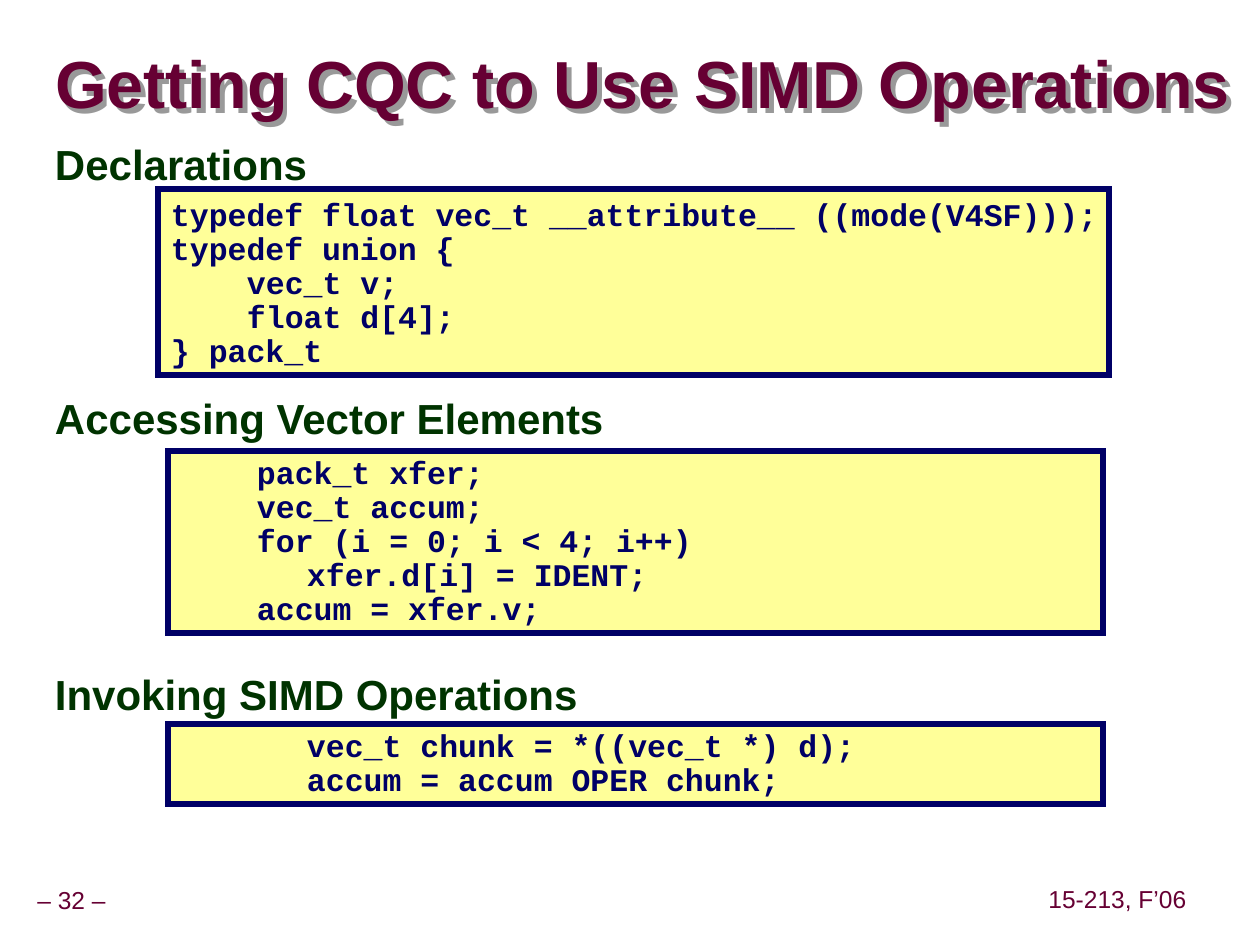
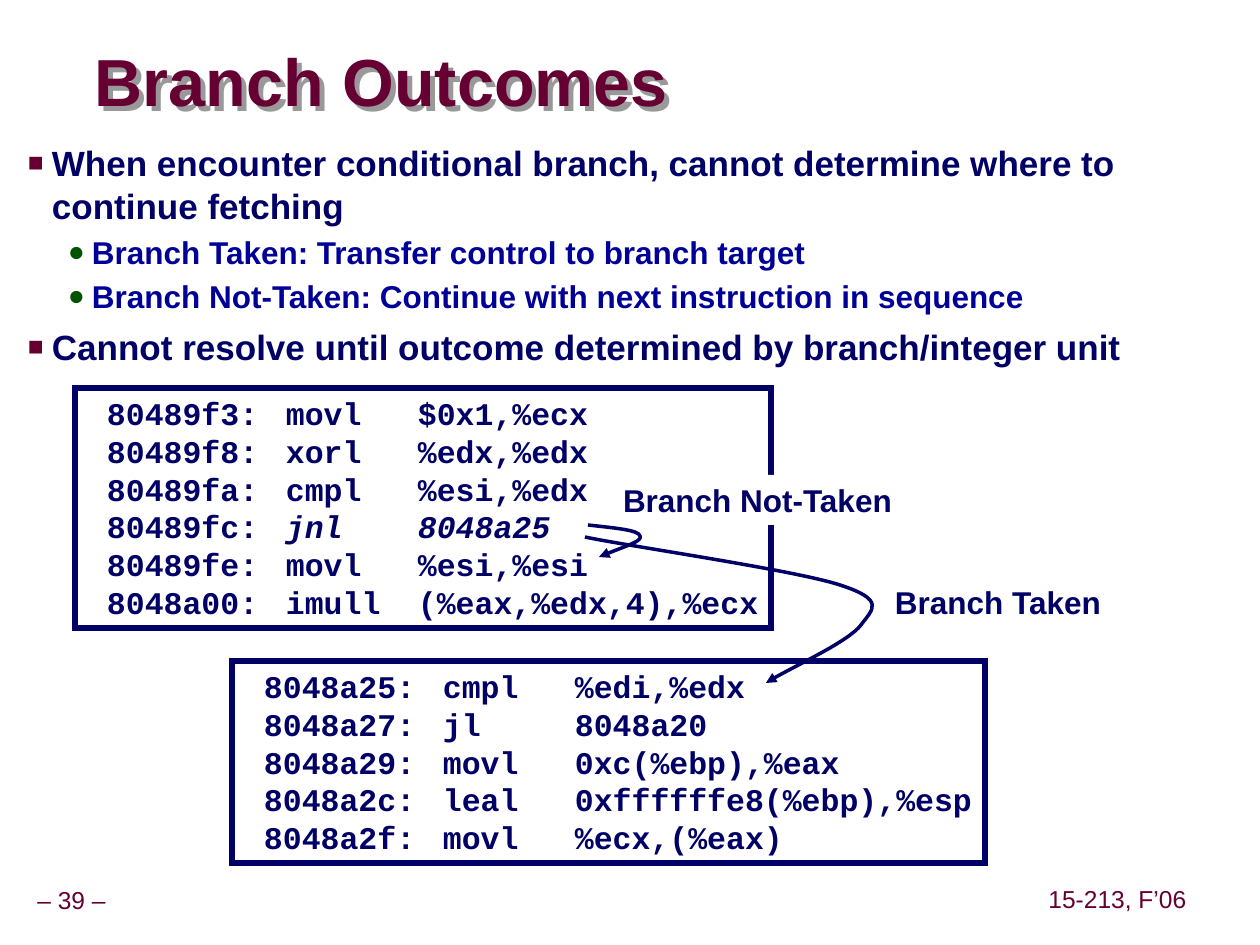
from collections import namedtuple
from dataclasses import dataclass

from lxml import etree
from pptx import Presentation
from pptx.dml.color import RGBColor
from pptx.enum.shapes import MSO_SHAPE
from pptx.enum.text import MSO_ANCHOR, PP_ALIGN
from pptx.oxml.ns import qn
from pptx.util import Pt

PX = 914400 / 126
RECTANGLE = MSO_SHAPE.RECTANGLE
TOP, MIDDLE = MSO_ANCHOR.TOP, MSO_ANCHOR.MIDDLE
LEFT, CENTER = PP_ALIGN.LEFT, PP_ALIGN.CENTER

Box = namedtuple("Box", "x y w h")
Insets = namedtuple("Insets", "left top")
Bullet = namedtuple("Bullet", "char color percent margin hang")
Style = namedtuple(
    "Style", "size color font bold spacing before bullet tabs",
    defaults=("Arial", True, 1.0, 0, None, ()))


@dataclass(frozen=True)
class Theme:
    maroon: str = "660033"
    navy: str = "000066"
    blue: str = "000099"
    pine: str = "003300"
    green: str = "005400"
    cream: str = "FFFF99"
    white: str = "FFFFFF"
    shade: str = "999999"
    mono: str = "Courier New"
    title_size: int = 38
    heading_size: int = 24
    point_size: int = 20
    text_size: int = 18
    footer_size: int = 14
    frame_width: int = 3
    arrow_width: int = 2


THEME = Theme()
TITLE = Style(THEME.title_size, THEME.maroon, spacing=0.87)
FOOTER = Style(THEME.footer_size, THEME.maroon, bold=False, spacing=0.9)
HEADING = Style(THEME.heading_size, THEME.pine, spacing=0.95)
LABEL = Style(THEME.text_size, THEME.navy)
POINT = Style(THEME.point_size, THEME.navy, before=6.2,
              bullet=Bullet("■", THEME.maroon, 75, 39, 24))
SUBPOINT = Style(THEME.text_size, THEME.blue, spacing=1.07, before=2.2,
                 bullet=Bullet("●", THEME.green, 90, 79, 24))
SOURCE = Style(THEME.text_size, THEME.navy, THEME.mono, spacing=0.9, tabs=(76, 126))
ASSEMBLY = Style(THEME.text_size, THEME.navy, THEME.mono, tabs=(179, 311))
PADDING = Insets(13, 6)

DECLARATIONS = [
    "typedef float vec_t __attribute__ ((mode(V4SF)));",
    "typedef union {",
    "\tvec_t v;",
    "\tfloat d[4];",
    "} pack_t",
]
ACCESSING = [
    "\tpack_t xfer;",
    "\tvec_t accum;",
    "\tfor (i = 0; i < 4; i++)",
    "\t\txfer.d[i] = IDENT;",
    "\taccum = xfer.v;",
]
INVOKING = ["\t\tvec_t chunk = *((vec_t *) d);", "\t\taccum = accum OPER chunk;"]
FALL_THROUGH = [
    ("80489f3:", "movl", "$0x1,%ecx"),
    ("80489f8:", "xorl", "%edx,%edx"),
    ("80489fa:", "cmpl", "%esi,%edx"),
    ("80489fc:", "jnl", "8048a25"),
    ("80489fe:", "movl", "%esi,%esi"),
    ("8048a00:", "imull", "(%eax,%edx,4),%ecx"),
]
TARGET = [
    ("8048a25:", "cmpl", "%edi,%edx"),
    ("8048a27:", "jl", "8048a20"),
    ("8048a29:", "movl", "0xc(%ebp),%eax"),
    ("8048a2c:", "leal", "0xffffffe8(%ebp),%esp"),
    ("8048a2f:", "movl", "%ecx,(%eax)"),
]


def emu(length):
    return round(length * PX)


def rgb(color):
    return RGBColor.from_string(color)


def add_node(parent, tag, **attributes):
    values = {name: str(value) for name, value in attributes.items()}
    return etree.SubElement(parent, qn(tag), values)


def add_bullet(para, bullet):
    properties = para._p.get_or_add_pPr()
    properties.set("marL", str(emu(bullet.margin)))
    properties.set("indent", str(-emu(bullet.hang)))
    add_node(add_node(properties, "a:buClr"), "a:srgbClr", val=bullet.color)
    add_node(properties, "a:buSzPct", val=bullet.percent * 1000)
    add_node(properties, "a:buFont", typeface="Arial")
    add_node(properties, "a:buChar", char=bullet.char)


def add_tabs(para, stops):
    tabs = add_node(para._p.get_or_add_pPr(), "a:tabLst")
    for stop in stops:
        add_node(tabs, "a:tab", pos=emu(stop), algn="l")


def add_span(para, text, style, italic=False):
    span = para.add_run()
    span.text = text
    font = span.font
    font.name, font.size, font.bold = style.font, Pt(style.size), style.bold
    font.italic = italic
    font.color.rgb = rgb(style.color)


def add_para(frame, style, *texts, align=LEFT, before=None, italic_from=None):
    para = frame.paragraphs[0]
    if para.runs:
        para = frame.add_paragraph()
    para.alignment = align
    para.line_spacing = style.spacing
    para.space_before = Pt(style.before if before is None else before)
    if style.bullet:
        add_bullet(para, style.bullet)
    if style.tabs:
        add_tabs(para, style.tabs)
    for index, text in enumerate(texts):
        italic = italic_from is not None and index >= italic_from
        add_span(para, text, style, italic)


def prepare_frame(shape, insets=PADDING, anchor=TOP):
    frame = shape.text_frame
    frame.word_wrap = True
    frame.vertical_anchor = anchor
    frame.margin_left, frame.margin_right = emu(insets.left), 0
    frame.margin_top = frame.margin_bottom = emu(insets.top)
    return frame


def add_text_box(page, box, insets=PADDING, anchor=TOP):
    shape = page.shapes.add_textbox(*map(emu, box))
    return shape, prepare_frame(shape, insets, anchor)


def add_panel(page, box, fill=None, framed=True, insets=PADDING):
    panel = page.shapes.add_shape(RECTANGLE, *map(emu, box))
    panel.shadow.inherit = False
    if fill:
        panel.fill.solid()
        panel.fill.fore_color.rgb = rgb(fill)
    else:
        panel.fill.background()
    if framed:
        panel.line.color.rgb = rgb(THEME.navy)
        panel.line.width = Pt(THEME.frame_width)
        add_node(panel.line._get_or_add_ln(), "a:miter", lim=800000)
    else:
        panel.line.fill.background()
    return prepare_frame(panel, insets)


def add_title(page, box, text):
    title, frame = add_text_box(page, box, Insets(0, 0), MIDDLE)
    add_para(frame, TITLE, text)
    effects = add_node(title._element.spPr, "a:effectLst")
    shadow = add_node(effects, "a:outerShdw", dist=emu(7), dir=2700000, algn="ctr")
    add_node(shadow, "a:srgbClr", val=THEME.shade)


def add_footer(page, number):
    notes = [(Box(0, 882, 143, 39), f"– {number} –"),
             (Box(1042, 881, 151, 39), "15-213, F’06")]
    for box, text in notes:
        frame = add_text_box(page, box, Insets(0, 6), MIDDLE)[1]
        add_para(frame, FOOTER, text, align=CENTER)


def add_page(deck, number, title_box, title):
    page = deck.slides.add_slide(deck.slide_layouts[6])
    add_footer(page, number)
    add_title(page, title_box, title)
    return page


def add_source(page, box, lines, top=PADDING.top):
    frame = add_panel(page, box, THEME.cream, insets=Insets(PADDING.left, top))
    for line in lines:
        add_para(frame, SOURCE, line)


def add_assembly(page, box, instructions, jump=None):
    frame = add_panel(page, box, insets=Insets(32, PADDING.top))
    for address, name, operands in instructions:
        italic_from = 1 if name == jump else None
        add_para(frame, ASSEMBLY, f"{address}\t", f"{name}\t{operands}",
                 italic_from=italic_from)


def add_curved_arrow(page, start, controls):
    builder = page.shapes.build_freeform(*start, scale=PX)
    builder.add_line_segments(controls, close=False)
    arrow = builder.convert_to_shape()
    arrow.shadow.inherit = False
    arrow.fill.background()
    arrow.line.color.rgb = rgb(THEME.navy)
    arrow.line.width = Pt(THEME.arrow_width)
    add_node(arrow.line._get_or_add_ln(), "a:tailEnd", type="triangle")
    outline = next(arrow._element.iter(qn("a:path")))
    segments = outline.findall(qn("a:lnTo"))
    for first in range(0, len(segments), 3):
        curve = add_node(outline, "a:cubicBezTo")
        for segment in segments[first:first + 3]:
            curve.append(segment[0])
            outline.remove(segment)


def build_simd_page(deck):
    page = add_page(deck, 32, Box(55, 34, 1201, 107), "Getting CQC to Use SIMD Operations")
    headings = add_text_box(page, Box(42, 136, 1145, 762))[1]
    for text, gap in [("Declarations", 0), ("Accessing Vector Elements", 118),
                      ("Invoking SIMD Operations", 130.4)]:
        add_para(headings, HEADING, text, before=gap)
    add_source(page, Box(158, 189, 951, 186), DECLARATIONS, top=10)
    add_source(page, Box(168, 451, 935, 182), ACCESSING)
    add_source(page, Box(168, 724, 935, 80), INVOKING)


def build_branch_page(deck):
    page = add_page(deck, 39, Box(95, 46, 818, 79), "Branch Outcomes")
    points = add_text_box(page, Box(0, 136, 1207, 252))[1]
    add_para(points, POINT, "When encounter conditional branch, cannot determine "
                            "where to continue fetching")
    add_para(points, SUBPOINT, "Branch Taken: Transfer control to branch target")
    add_para(points, SUBPOINT, "Branch Not-Taken: Continue with next instruction in sequence")
    add_para(points, POINT, "Cannot resolve until outcome determined by branch/integer unit")
    add_assembly(page, Box(75, 388, 696, 240), FALL_THROUGH, jump="jnl")
    add_assembly(page, Box(232, 661, 753, 202), TARGET)
    taken = add_text_box(page, Box(882, 577, 233, 50))[1]
    add_para(taken, LABEL, "Branch Taken")
    add_curved_arrow(page, (588, 525), [
        (614, 528), (639, 530), (640, 536), (643, 541), (620, 548), (599, 557)])
    not_taken = add_panel(page, Box(610, 475, 296, 50), THEME.white, framed=False)
    add_para(not_taken, LABEL, "Branch Not-Taken")
    add_curved_arrow(page, (585, 537), [
        (627, 546), (794, 570), (840, 585), (886, 600), (873, 609), (861, 625),
        (849, 641), (786, 670), (766, 683)])


def main():
    deck = Presentation()
    deck.slide_width, deck.slide_height = emu(1260), emu(945)
    build_simd_page(deck)
    build_branch_page(deck)
    deck.save("out.pptx")


if __name__ == "__main__":
    main()
